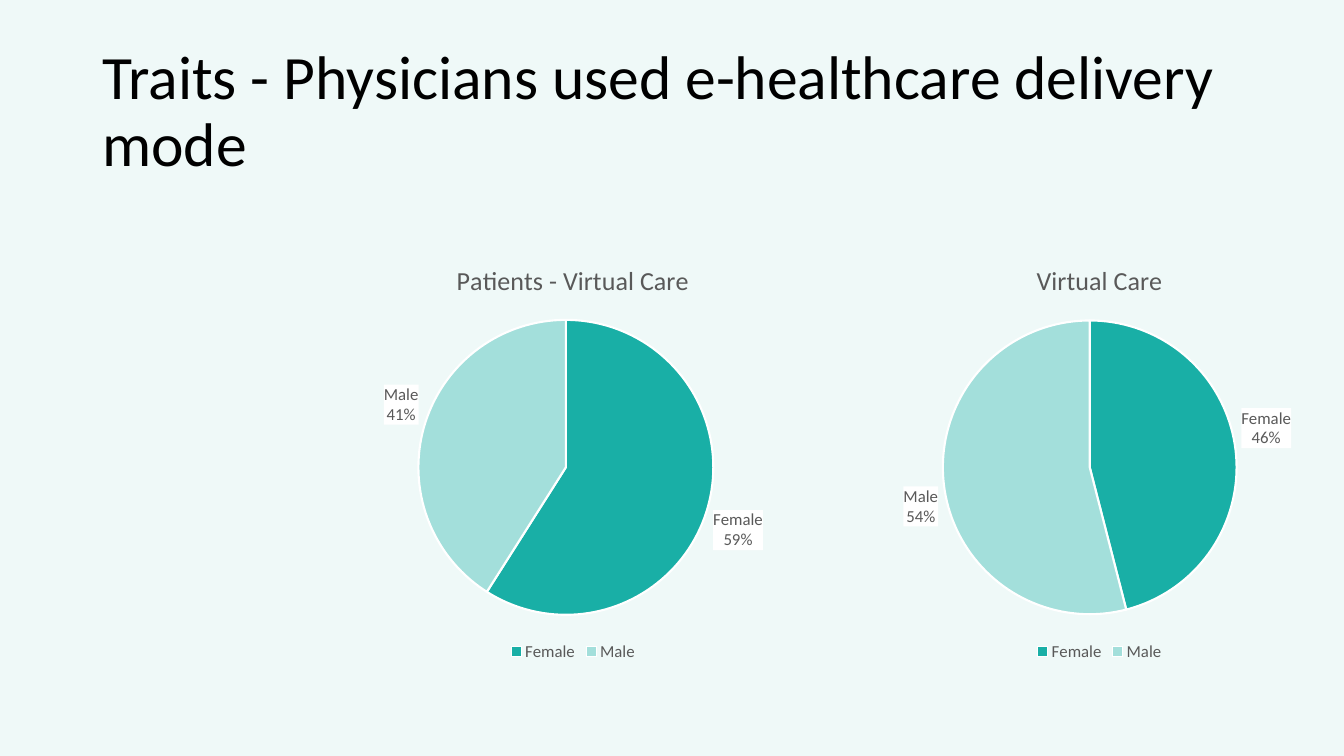
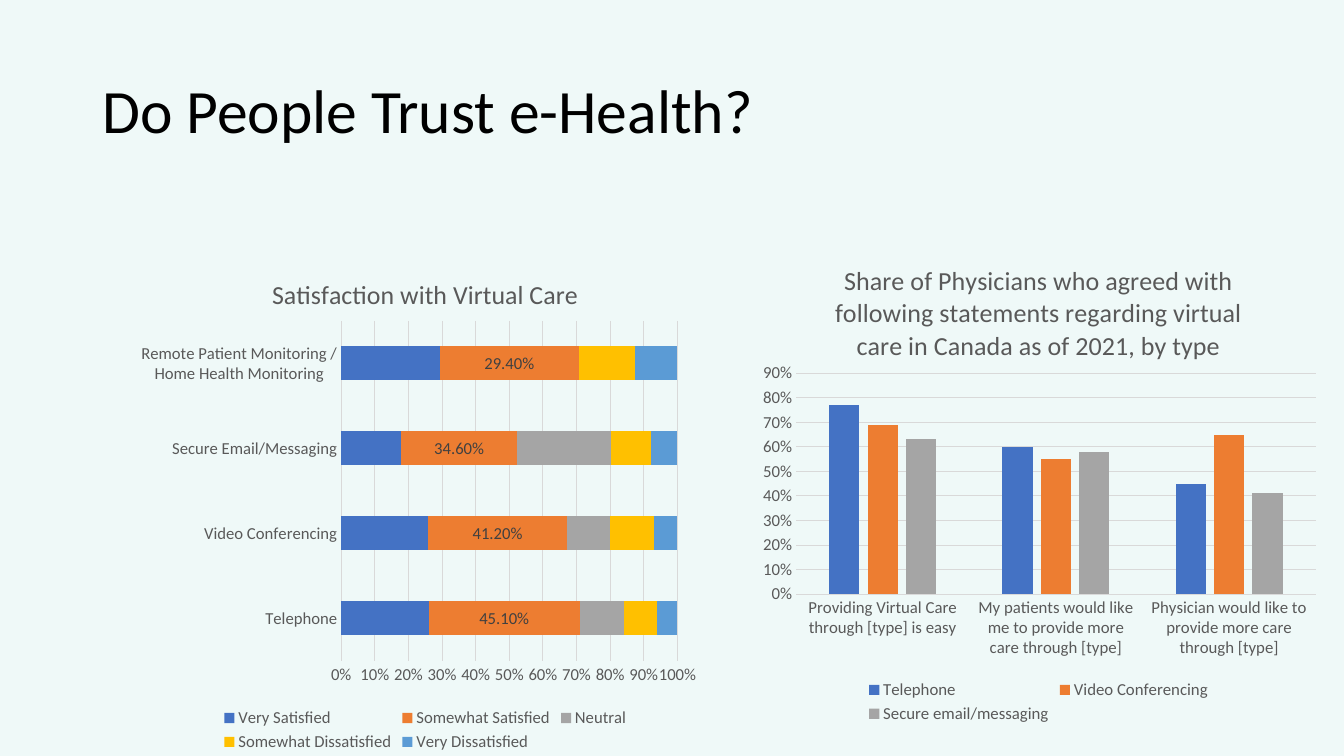
import pptx
import pptx.chart.data
import pptx.dml.color
import pptx.enum.chart
import pptx.enum.text
import pptx.oxml
import pptx.oxml.ns
import pptx.util

Cm = pptx.util.Cm
Pt = pptx.util.Pt
RGBColor = pptx.dml.color.RGBColor
XL = pptx.enum.chart.XL_CHART_TYPE
NS = pptx.oxml.ns.nsdecls("c", "a")

FONT = "Calibri"
BACKGROUND = RGBColor(0xEF, 0xF9, 0xF8)
BLACK = RGBColor(0, 0, 0)
WHITE = RGBColor(0xFF, 0xFF, 0xFF)
GREY = RGBColor(0x59, 0x59, 0x59)
DARK_GREY = RGBColor(0x40, 0x40, 0x40)
GRID = RGBColor(0xD9, 0xD9, 0xD9)
TEAL = RGBColor(0x19, 0xAF, 0xA6)
PALE_TEAL = RGBColor(0xA3, 0xDF, 0xDB)
SERIES_COLOURS = [
    RGBColor(0x44, 0x72, 0xC4),
    RGBColor(0xED, 0x7D, 0x31),
    RGBColor(0xA5, 0xA5, 0xA5),
    RGBColor(0xFF, 0xC0, 0x00),
    RGBColor(0x5B, 0x9B, 0xD5),
]


def write_text(tf, text, size=18.6, color=GREY, spacing=None):
    p = tf.paragraphs[0]
    p.line_spacing = spacing
    r = p.add_run()
    r.text = text
    r.font.name = FONT
    r.font.size = Pt(size)
    r.font.bold = False
    r.font.color.rgb = color


def add_chart(s, kind, box, plot_box, title, cats, series, fmt="General"):
    data = pptx.chart.data.CategoryChartData(number_format=fmt)
    data.categories = cats
    for name, vals in series:
        data.add_series(name, vals)
    chart = s.shapes.add_chart(kind, *[Cm(v) for v in box], data).chart
    chart.font.name = FONT
    chart.font.size = Pt(12)
    chart.font.color.rgb = GREY
    chart.has_title = True
    write_text(chart.chart_title.text_frame, title)
    chart.has_legend = True
    chart.legend.position = pptx.enum.chart.XL_LEGEND_POSITION.BOTTOM
    chart.legend.include_in_layout = False

    area = chart.plots[0]._element.getparent()
    for old in area.findall(pptx.oxml.ns.qn("c:layout")):
        area.remove(old)
    sizes = "".join(f'<c:{k} val="{v}"/>' for k, v in zip("xywh", plot_box))
    area.insert(0, pptx.oxml.parse_xml(
        f'<c:layout {NS}><c:manualLayout><c:layoutTarget val="inner"/>'
        f'<c:xMode val="edge"/><c:yMode val="edge"/>{sizes}'
        f'</c:manualLayout></c:layout>'))
    return chart


prs = pptx.Presentation()
prs.slide_width = Cm(33.87)
prs.slide_height = Cm(19.05)
fill = prs.slide_master.background.fill
fill.solid()
fill.fore_color.rgb = BACKGROUND

slides = []
for title in ["Traits - Physicians used e-healthcare delivery mode",
              "Do People Trust e-Health?"]:
    s = prs.slides.add_slide(prs.slide_layouts[6])
    tf = s.shapes.add_textbox(Cm(2.33), Cm(1.01), Cm(29.21), Cm(3.68)).text_frame
    tf.word_wrap = True
    tf.vertical_anchor = pptx.enum.text.MSO_ANCHOR.MIDDLE
    write_text(tf, title, size=44, color=BLACK, spacing=0.9)
    slides.append(s)
traits, trust = slides

pies = [
    ("Virtual Care", "Virtual Care", (46, 54), 21.54, 12.34, 0.18, 0.6),
    ("Patients - Virtual Care", "Series 1", (59, 41), 8.51, 11.86, 0.17, 0.63),
]
for title, name, vals, left, width, plot_left, plot_width in pies:
    chart = add_chart(traits, XL.PIE, (left, 6.15, width, 10.62),
                      (plot_left, 0.18, plot_width, 0.7), title,
                      ["Female", "Male"], [(name, vals)])
    ser = chart.plots[0].series[0]
    for i, colour in enumerate([TEAL, PALE_TEAL]):
        fmt = ser.points[i].format
        fmt.fill.solid()
        fmt.fill.fore_color.rgb = colour
        fmt.line.color.rgb = WHITE
        fmt.line.width = Pt(1.5)
    labels = ser.data_labels
    labels.show_value = False
    labels.show_category_name = True
    labels.show_percentage = True
    labels.position = pptx.enum.chart.XL_LABEL_POSITION.OUTSIDE_END
    labels.font.name = FONT
    labels.font.size = Pt(12)
    labels.font.color.rgb = GREY
    xml = labels._element
    xml.find(pptx.oxml.ns.qn("c:txPr")).addprevious(pptx.oxml.parse_xml(
        f'<c:spPr {NS}><a:solidFill><a:srgbClr val="{WHITE}"/></a:solidFill></c:spPr>'))
    xml.find(pptx.oxml.ns.qn("c:showBubbleSize")).addnext(
        pptx.oxml.parse_xml(f"<c:separator {NS}>\n</c:separator>"))

agreement = add_chart(
    trust, XL.COLUMN_CLUSTERED, (18.9, 6.1, 14.55, 12.24), (0.08, 0.27, 0.9, 0.455),
    "Share of Physicians who agreed with following statements regarding "
    "virtual care in Canada as of 2021, by type",
    ["Providing Virtual Care through [type] is easy",
     "My patients would like me to provide more care through [type]",
     "Physician would like to provide more care through [type]"],
    [("Telephone", (0.77, 0.6, 0.45)),
     ("Video Conferencing", (0.69, 0.55, 0.65)),
     ("Secure email/messaging", (0.63, 0.58, 0.41))], "0%")
agreement.value_axis.maximum_scale = 0.9

satisfaction = add_chart(
    trust, XL.BAR_STACKED_100, (3.56, 6.45, 14.22, 12.6), (0.35, 0.13, 0.6, 0.68),
    "Satisfaction with Virtual Care",
    ["Telephone", "Video Conferencing", "Secure Email/Messaging",
     "Remote Patient Monitoring / Home Health Monitoring"],
    [("Very Satisfied", (0.26, 0.26, 0.18, 0.21)),
     ("Somewhat Satisfied", (0.451, 0.412, 0.346, 0.294)),
     ("Neutral", (0.13, 0.13, 0.28, 0)),
     ("Somewhat Dissatisfied", (0.1, 0.13, 0.12, 0.12)),
     ("Very Dissatisfied", (0.06, 0.07, 0.08, 0.09))], "0.00%")

for chart, gap, overlap in [(agreement, 219, -27), (satisfaction, 150, 100)]:
    plot = chart.plots[0]
    plot.vary_by_categories = False
    plot.gap_width = gap
    plot.overlap = overlap
    for ser, colour in zip(plot.series, SERIES_COLOURS):
        ser.format.fill.solid()
        ser.format.fill.fore_color.rgb = colour
    for axis in (chart.category_axis, chart.value_axis):
        axis.major_tick_mark = pptx.enum.chart.XL_TICK_MARK.NONE
        axis.minor_tick_mark = pptx.enum.chart.XL_TICK_MARK.NONE
    line = chart.category_axis.format.line
    line.color.rgb = GRID
    line.width = Pt(0.75)
    axis = chart.value_axis
    axis.minimum_scale = 0
    axis.major_unit = 0.1
    axis.format.line.fill.background()
    axis.tick_labels.number_format = "0%"
    axis.tick_labels.number_format_is_linked = False
    axis.has_major_gridlines = True
    axis.major_gridlines.format.line.color.rgb = GRID
    axis.major_gridlines.format.line.width = Pt(0.75)

labels = satisfaction.plots[0].series[1].data_labels
labels.show_value = True
labels.number_format = "0.00%"
labels.number_format_is_linked = False
labels.font.name = FONT
labels.font.size = Pt(12)
labels.font.color.rgb = DARK_GREY

prs.save("out.pptx")
